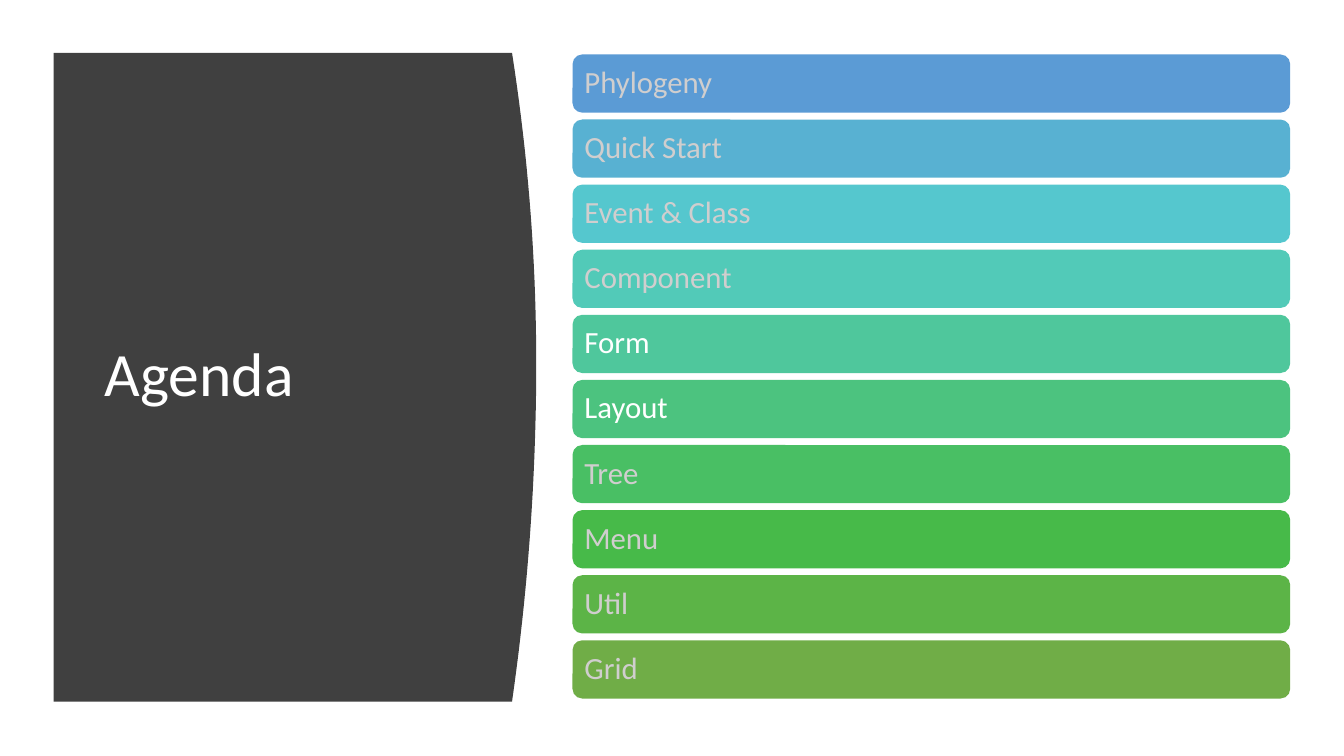
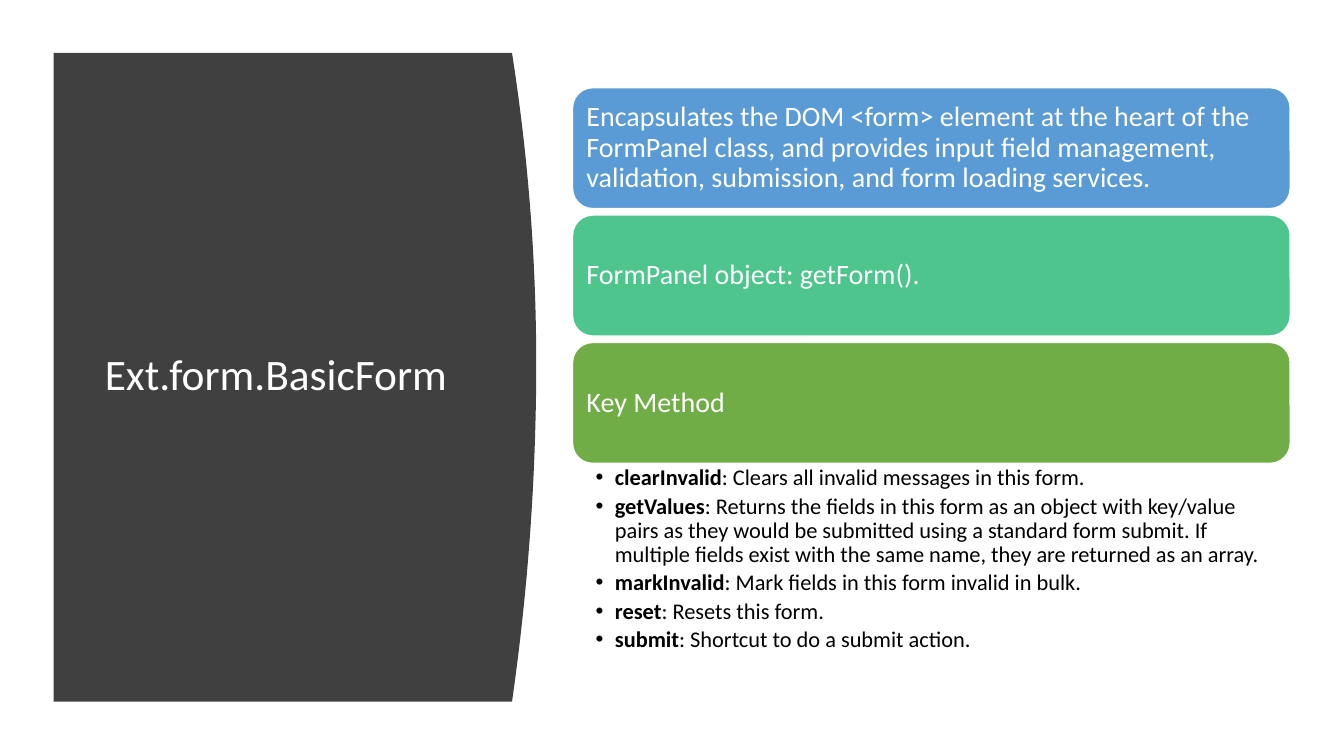
from dataclasses import dataclass

from pptx import Presentation
from pptx.dml.color import RGBColor
from pptx.enum.shapes import MSO_SHAPE
from pptx.enum.text import MSO_ANCHOR, MSO_AUTO_SIZE, PP_ALIGN
from pptx.util import Inches, Pt


@dataclass(frozen=True)
class Theme:
    """Colours and type sizes shared by the slides."""
    font: str = "Calibri"
    panel: RGBColor = RGBColor.from_string("404040")
    light: RGBColor = RGBColor.from_string("FFFFFF")
    muted: RGBColor = RGBColor.from_string("D0CECE")
    dark: RGBColor = RGBColor.from_string("000000")
    agenda_fills: tuple = ("5B9BD5", "58B1D2", "55C7CE", "52CAB8", "4FC79C",
                           "4CC37F", "49BF64", "47BA49", "5CB447", "70AD47")
    topic_fills: tuple = ("5B9BD5", "4DC58D", "70AD47")
    agenda_title: int = 44
    class_title: int = 31
    agenda_text: int = 22
    topic_text: int = 20
    method_text: int = 16


theme = Theme()
presentation = Presentation()
presentation.slide_width = Inches(13.33)
presentation.slide_height = Inches(7.5)

# The grid has 100 columns and 100 rows.
COLUMN = presentation.slide_width / 100
ROW = presentation.slide_height / 100
CONTENT_LEFT, CONTENT_WIDTH = 42.6, 53.4
PANEL_LEFT, PANEL_TOP, PANEL_BOTTOM = 4, 7, 92.8
EDGE, BULGE, APEX = 38.1, 1.8, 48
STEPS = 40
TOPICS_BOTTOM = 61.3


def place(shape, left, top, width, height):
    """Move a shape to a cell range of the grid."""
    shape.left, shape.width = round(left * COLUMN), round(width * COLUMN)
    shape.top, shape.height = round(top * ROW), round(height * ROW)


def style(paragraph, size, color):
    """Format a left-aligned paragraph and its runs."""
    paragraph.alignment = PP_ALIGN.LEFT
    paragraph.line_spacing = 0.9
    paragraph.space_before = Pt(0)
    for run in paragraph.runs:
        run.font.name = theme.font
        run.font.size = Pt(size)
        run.font.color.rgb = color


# Curved right edge of the panel: half a parabola above and below the apex.
outline = [(PANEL_LEFT * COLUMN, PANEL_TOP * ROW)]
for step in range(STEPS + 1):
    y = PANEL_TOP + (PANEL_BOTTOM - PANEL_TOP) * step / STEPS
    reach = APEX - PANEL_TOP if y < APEX else PANEL_BOTTOM - APEX
    x = EDGE + BULGE * (1 - ((y - APEX) / reach) ** 2)
    outline.append((x * COLUMN, y * ROW))
outline.append((PANEL_LEFT * COLUMN, PANEL_BOTTOM * ROW))

agenda = ["Phylogeny", "Quick Start", "Event & Class", "Component", "Form",
          "Layout", "Tree", "Menu", "Util", "Grid"]
current = {"Form", "Layout"}
topics = ["Encapsulates the DOM <form> element at the heart of the FormPanel class, "
          "and provides input field management, validation, submission, "
          "and form loading services.",
          "FormPanel object: getForm().",
          "Key Method"]

# Layout, title, title size, bar labels, fills, text size, margin, top, bottom, bar height, line
pages = [
    ("Title Only", "Agenda", theme.agenda_title, agenda, theme.agenda_fills,
     theme.agenda_text, 0.09, 7.2, 92.4, 7.7, False),
    ("Title and Content", "Ext.form.BasicForm", theme.class_title, topics,
     theme.topic_fills, theme.topic_text, 0.08, 11.6, TOPICS_BOTTOM, 16, True),
]

for (layout, heading, heading_size, labels, fills, text_size, margin,
     top, bottom, height, outlined) in pages:
    slide = presentation.slides.add_slide(presentation.slide_layouts.get_by_name(layout))

    title = slide.shapes.title
    place(title, 7.05, 14.8, 28.05, 69.9)
    title.text_frame.text = heading
    title.text_frame.auto_size = MSO_AUTO_SIZE.NONE
    title.text_frame.vertical_anchor = MSO_ANCHOR.MIDDLE
    style(title.text_frame.paragraphs[0], heading_size, theme.light)

    builder = slide.shapes.build_freeform(round(outline[0][0]), round(outline[0][1]))
    builder.add_line_segments([(round(x), round(y)) for x, y in outline[1:]])
    panel = builder.convert_to_shape()
    panel.shadow.inherit = False
    panel.fill.solid()
    panel.fill.fore_color.rgb = theme.panel
    panel.line.fill.background()
    title.element.addprevious(panel.element)

    pitch = (bottom - top - height) / (len(labels) - 1)
    for index, (label, fill) in enumerate(zip(labels, fills)):
        bar = slide.shapes.add_shape(MSO_SHAPE.ROUNDED_RECTANGLE, 0, 0, 0, 0)
        place(bar, CONTENT_LEFT, top + index * pitch, CONTENT_WIDTH, height)
        bar.shadow.inherit = False
        bar.fill.solid()
        bar.fill.fore_color.rgb = RGBColor.from_string(fill)
        if outlined:
            bar.line.color.rgb = theme.light
            bar.line.width = Pt(1)
        else:
            bar.line.fill.background()
        frame = bar.text_frame
        frame.text = label
        frame.word_wrap = True
        frame.vertical_anchor = MSO_ANCHOR.MIDDLE
        frame.margin_left = frame.margin_right = Inches(margin)
        frame.margin_top = frame.margin_bottom = Inches(margin)
        muted = labels is agenda and label not in current
        style(frame.paragraphs[0], text_size, theme.muted if muted else theme.light)

# Key methods, listed on the last slide
methods = {
    "clearInvalid": "Clears all invalid messages in this form.",
    "getValues": "Returns the fields in this form as an object with key/value pairs "
                 "as they would be submitted using a standard form submit. If multiple "
                 "fields exist with the same name, they are returned as an array.",
    "markInvalid": "Mark fields in this form invalid in bulk.",
    "reset": "Resets this form.",
    "submit": "Shortcut to do a submit action.",
}
body = slide.placeholders[1]
place(body, CONTENT_LEFT, TOPICS_BOTTOM, CONTENT_WIDTH, 26.5)
frame = body.text_frame
frame.auto_size = MSO_AUTO_SIZE.NONE
frame.margin_left, frame.margin_right = Inches(0.23), Inches(0.16)
frame.margin_top = frame.margin_bottom = Inches(0.03)
frame.text = "\n".join(methods)
for paragraph, description in zip(frame.paragraphs, methods.values()):
    paragraph.runs[0].font.bold = True
    paragraph.add_run().text = f": {description}"
    style(paragraph, theme.method_text, theme.dark)
    paragraph.space_after = Pt(3)
    properties = paragraph._p.get_or_add_pPr()
    properties.set("marL", str(Inches(0.19)))
    properties.set("indent", str(-Inches(0.19)))

presentation.save("out.pptx")
